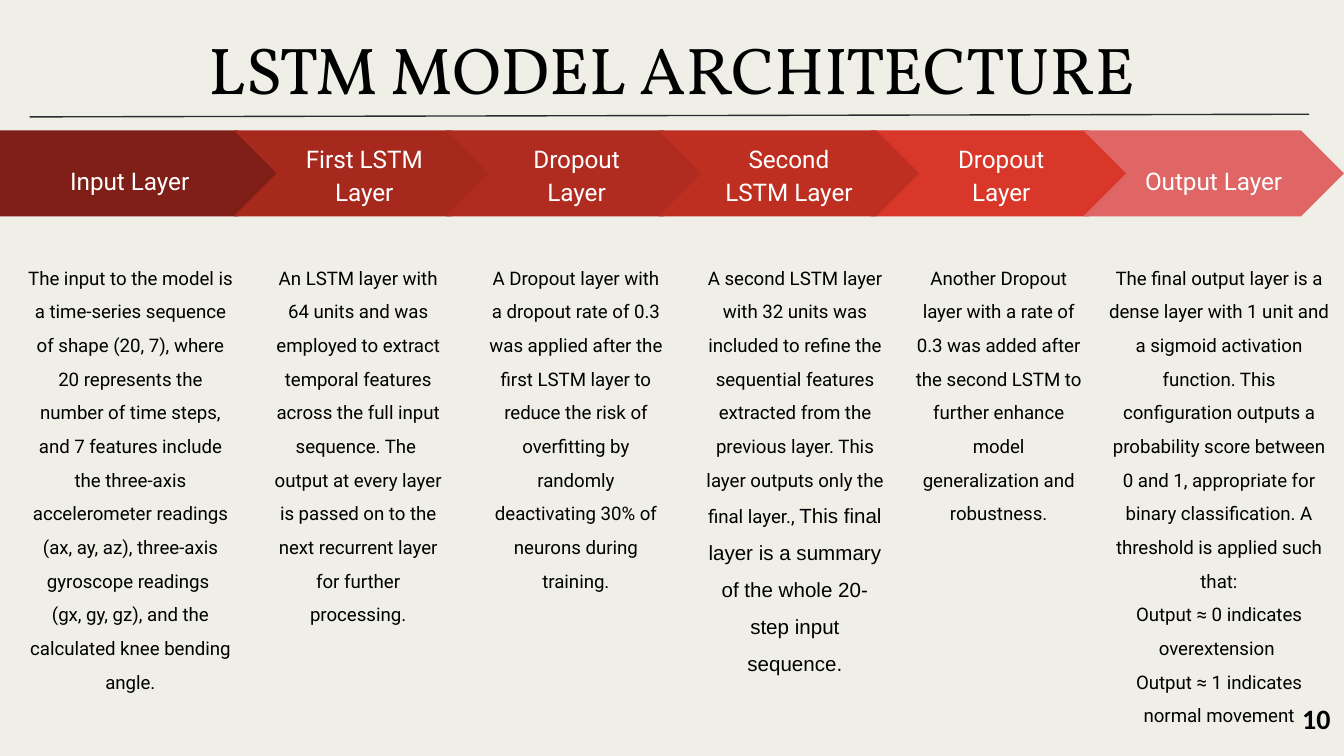
from pptx import Presentation
from pptx.dml.color import RGBColor
from pptx.enum.shapes import MSO_CONNECTOR, MSO_SHAPE
from pptx.enum.text import MSO_ANCHOR, PP_ALIGN
from pptx.oxml.ns import qn
from pptx.util import Inches, Pt
from lxml.etree import SubElement

BACKGROUND = RGBColor(0xEF, 0xEE, 0xE7)
BLACK = RGBColor(0, 0, 0)
WHITE = RGBColor(0xFF, 0xFF, 0xFF)
RULE = RGBColor(0x2B, 0x2C, 0x30)
MAROON = RGBColor(0x80, 0x1F, 0x17)
BRICK = RGBColor(0xA7, 0x29, 0x1E)
RUST = RGBColor(0xB0, 0x2B, 0x20)
CRIMSON = RGBColor(0xBE, 0x2F, 0x22)
SCARLET = RGBColor(0xD8, 0x37, 0x29)
CORAL = RGBColor(0xE0, 0x66, 0x66)

WIDTH = 10
HEIGHT = WIDTH * 9 / 16
STEP, ARROW_WIDTH = 1.58, 1.94
ARROW_TOP, ARROW_HEIGHT = 0.97, 0.64
BODY_TOP, BODY_HEIGHT = 1.8, 2.25

# Column, heading, heading line spacing, colour, body left, body width, body
# paragraphs. Listed back to front: the fourth arrow lies over the fifth.
LAYERS = [
    (0, "Input Layer", 1.5, MAROON, 0.11, 1.72, [
        "The input to the model is a time-series sequence of shape (20, 7), where "
        "20 represents the number of time steps, and 7 features include the "
        "three-axis accelerometer readings (ax, ay, az), three-axis gyroscope readings ",
        "(gx, gy, gz), and the calculated knee bending angle."]),
    (1, "First LSTM Layer", 1.15, BRICK, 1.9, 1.53, [
        "An LSTM layer with 64 units and was employed to extract temporal features "
        "across the full input sequence. The  output at every layer is passed on to "
        "the next recurrent layer for further processing."]),
    (2, "Dropout Layer", 1.15, RUST, 3.52, 1.53, [
        "A Dropout layer with a dropout rate of 0.3 was applied after the first LSTM "
        "layer to reduce the risk of overfitting by randomly deactivating 30% of "
        "neurons during training."]),
    (4, "Dropout Layer", 1.15, SCARLET, 6.69, 1.48, [
        "Another Dropout layer with a rate of 0.3 was added after the second LSTM to "
        "further enhance model generalization and robustness."]),
    (3, "Second LSTM Layer", 1.15, CRIMSON, 5.15, 1.53, [
        "A second LSTM layer with 32 units was included to refine the sequential "
        "features extracted from the previous layer. This layer outputs only the "
        "final layer., "]),
    (5, "Output Layer", 1.5, CORAL, 8.14, 1.86, [
        "The final output layer is a dense layer with 1 unit and a sigmoid activation "
        "function. This configuration outputs a probability score between 0 and 1, "
        "appropriate for binary classification. A threshold is applied such that:",
        "Output ≈ 0 indicates overextension ",
        "Output ≈ 1 indicates normal movement"]),
]
SUMMARY = "This final layer is a summary of the whole 20-step input sequence."

deck = Presentation()
deck.slide_width, deck.slide_height = Inches(WIDTH), Inches(HEIGHT)
page = deck.slides.add_slide(deck.slide_layouts[6])
page.background.fill.solid()
page.background.fill.fore_color.rgb = BACKGROUND


def write(box, lines, font, size, color=BLACK, align=PP_ALIGN.CENTER, spacing=1.0):
    """Fill a shape with one paragraph per line, all in the same style."""
    frame = box.text_frame
    frame.word_wrap = True
    frame.margin_left = frame.margin_right = Inches(0.1)
    frame.margin_top = frame.margin_bottom = Inches(0.1)
    frame.text = "\n".join(lines)
    for para in frame.paragraphs:
        para.alignment = align
        para.line_spacing = spacing
        para.font.name = font
        para.font.size = Pt(size)
        para.font.color.rgb = color
    return frame


def add_text_box(left, top, width, height):
    return page.shapes.add_textbox(Inches(left), Inches(top), Inches(width), Inches(height))


write(add_text_box(0, 0.11, WIDTH, 0.73), ["LSTM MODEL ARCHITECTURE"], "Vollkorn", 35.5)

rule = page.shapes.add_connector(
    MSO_CONNECTOR.STRAIGHT, Inches(0.22), Inches(0.87), Inches(9.74), Inches(0.85))
rule.line.color.rgb = RULE
rule.line.width = Pt(0.75)
SubElement(rule._element.spPr, qn("a:effectLst"))

number = write(add_text_box(9.59, 5.12, 0.52, 0.48), ["10"], "Calibri", 15,
               align=PP_ALIGN.LEFT)
number.paragraphs[0].font.bold = True

for column, heading, spacing, color, body_left, body_width, lines in LAYERS:
    if column == 0:
        preset, left, width = MSO_SHAPE.PENTAGON, 0, 2.09
    else:
        preset, width = MSO_SHAPE.CHEVRON, ARROW_WIDTH
        left = WIDTH - ARROW_WIDTH - (5 - column) * STEP
    arrow = page.shapes.add_shape(
        preset, Inches(left), Inches(ARROW_TOP), Inches(width), Inches(ARROW_HEIGHT))
    arrow.shadow.inherit = False
    arrow.fill.solid()
    arrow.fill.fore_color.rgb = color
    arrow.line.fill.background()
    label = write(arrow, [heading], "Roboto", 13, WHITE, spacing=spacing)
    label.vertical_anchor = MSO_ANCHOR.MIDDLE

    body = write(add_text_box(body_left, BODY_TOP, body_width, BODY_HEIGHT),
                 lines, "Roboto", 10, spacing=1.5)
    if heading == "Second LSTM Layer":
        span = body.paragraphs[0].add_run()
        span.text = SUMMARY
        span.font.name = "Arial"
        span.font.size = Pt(11)

deck.save("out.pptx")
